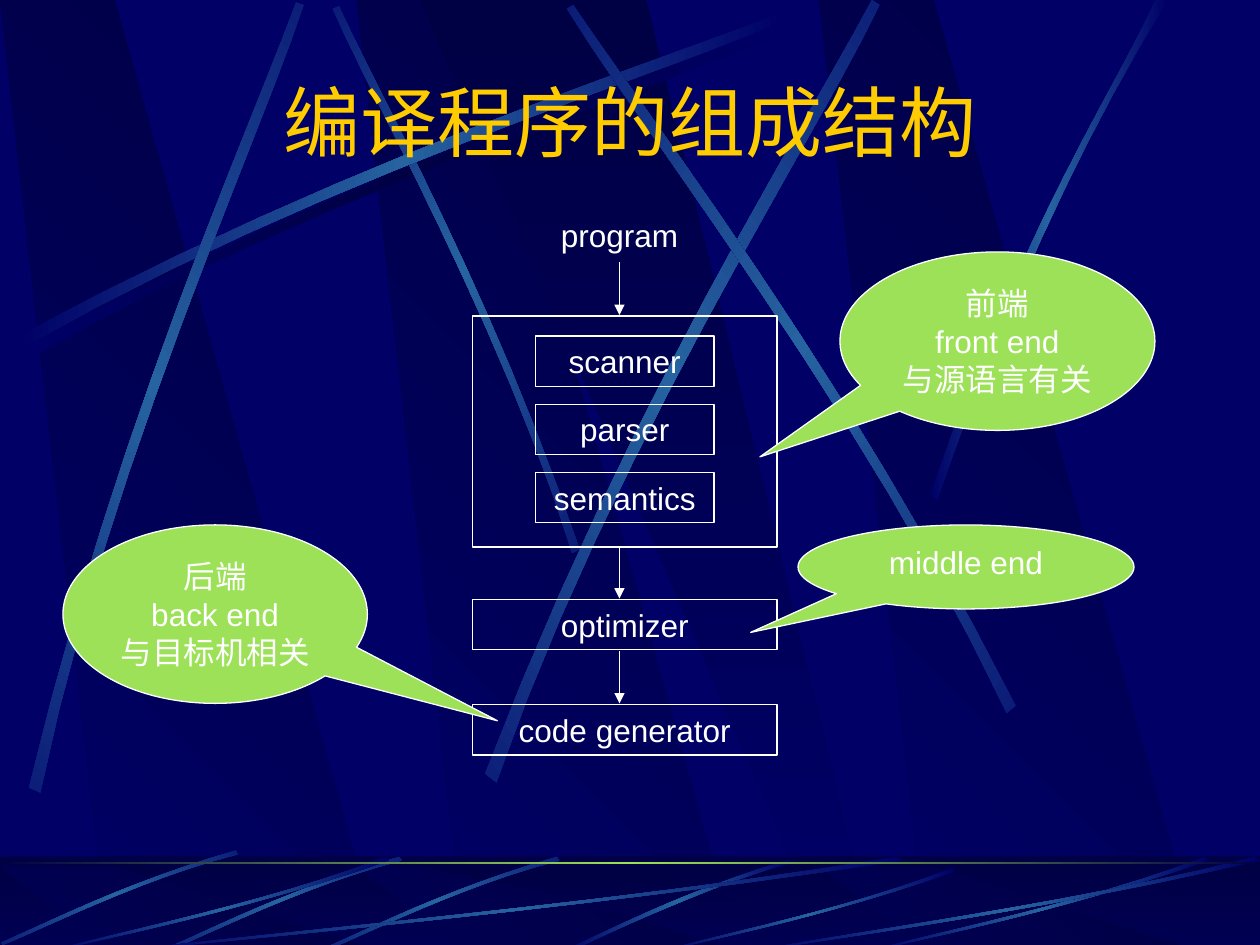
"""Build the compiler structure slide: a flow of stages with three callouts."""
import math

from lxml import etree
from pptx import Presentation
from pptx import util as u
from pptx.dml.color import RGBColor
from pptx.enum import shapes, text
from pptx.oxml import ns

NAVY = RGBColor(0x00, 0x00, 0x66)
DARK = RGBColor(0x00, 0x00, 0x44)
STEEL = RGBColor(0x26, 0x63, 0xA0)
GREEN = RGBColor(0x9C, 0xE1, 0x57)
GOLD = RGBColor(0xFF, 0xCC, 0x00)
WHITE = RGBColor(0xFF, 0xFF, 0xFF)
BEAM = (NAVY, STEEL, NAVY)
SHADE = (DARK, NAVY)

prs = Presentation()
prs.slide_width, prs.slide_height = u.Inches(10), u.Inches(7.5)
CELL = prs.slide_width // 120
FINE = prs.slide_width // 1000
slide = prs.slides.add_slide(prs.slide_layouts[6])
slide.background.fill.solid()
slide.background.fill.fore_color.rgb = NAVY


def paint(s, colors, angle):
    s.shadow.inherit = False
    s.line.fill.background()
    s.fill.gradient()
    s.fill.gradient_angle = (360 - angle) % 360
    stops = s._element.spPr.find(".//" + ns.qn("a:gsLst"))
    for stop in list(stops):
        stops.remove(stop)
    for i, color in enumerate(colors):
        pos = str(100000 * i // (len(colors) - 1))
        stop = etree.SubElement(stops, ns.qn("a:gs"), pos=pos)
        etree.SubElement(stop, ns.qn("a:srgbClr"), val=str(color))


def outline(points, colors, angle, turn=0):
    cos, sin = math.cos(math.radians(turn)), math.sin(math.radians(turn))
    flat = [(round((x * cos + y * sin) * FINE), round((y * cos - x * sin) * FINE)) for x, y in points]
    builder = slide.shapes.build_freeform(*flat[0])
    builder.add_line_segments(flat[1:], close=True)
    s = builder.convert_to_shape()
    cx, cy = s.left + s.width / 2, s.top + s.height / 2
    s.left = round(cx * cos - cy * sin - s.width / 2)
    s.top = round(cx * sin + cy * cos - s.height / 2)
    s.rotation = turn % 360
    paint(s, colors, angle)


wide = [(14, 267), (278, 125), (518, 51), (620, 10), (623, 16), (522, 61), (248, 143), (17, 277)]
upper = [
    (0, (NAVY, DARK, NAVY), [(x + 6, y + 8) for x, y in wide]),
    (45, BEAM, [(460, 436), (391, 234), (302, 77), (269, 5), (264, 7), (295, 79), (398, 258), (454, 439)]),
    (0, BEAM, wide),
    (311.7, BEAM, [(23, 625), (93, 334), (197, 105), (235, 2), (241, 4), (207, 108), (86, 368), (32, 629)]),
    (321.6, BEAM, [(385, 614), (498, 320), (638, 102), (692, 0), (698, 4), (649, 108), (486, 355), (394, 621)]),
    (34.8, BEAM, [(806, 560), (670, 293), (516, 95), (455, 4), (450, 7), (507, 101), (685, 325), (799, 566)]),
    (0, BEAM, [(738, 393), (814, 173), (888, 66), (917, 0), (927, 0), (836, 145), (769, 322), (744, 397)]),
]
short = [(442, 680), (355, 705), (287, 740), (256, 753), (257, 755), (288, 743), (365, 703), (444, 683)]
sweep = [(1, 0.04), (0.57, 0.57), (0.17, 0.85), (0, 1), (0, 0.99), (0.17, 0.81), (0.62, 0.51), (0.99, 0)]
floor = [(0, BEAM, [(627, 682), (537, 709), (477, 742), (448, 754), (453, 755), (490, 737), (571, 700), (628, 685)])]
floor += [(314.9, BEAM, [(x + dx, y + dy) for x, y in short]) for dx, dy in ((0, 0), (-125, 0), (-255, -5))]
floor += [(0, BEAM, [(left + width * x, top + (755 - top) * y) for x, y in sweep])
          for left, top, width in ((100, 680, 617), (42, 680, 267), (527, 689, 231), (692, 680, 267), (600, 680, 400))]

for top, bottom, beams in ((0, 752, upper), (688, 755, floor)):
    if beams is floor:
        s = slide.shapes.add_shape(shapes.MSO_SHAPE.RECTANGLE, 0, 680 * FINE, prs.slide_width, 75 * FINE)
        paint(s, SHADE, 90)
    for dx in (283, 0, 650):
        outline([(dx + 86, bottom), (dx + 302, bottom), (dx + 91, top), (dx, top)], SHADE, 135)
    outline([(333, top), (658, bottom), (694, bottom), (513, top)], SHADE, 90)
    if beams is floor:
        s = slide.shapes.add_shape(shapes.MSO_SHAPE.RECTANGLE, 0, 679 * FINE, prs.slide_width, 75 * FINE)
        s.shadow.inherit = False
        s.line.fill.background()
        s.fill.solid()
        s.fill.fore_color.rgb = DARK
        clr = s._element.spPr.find(".//" + ns.qn("a:srgbClr"))
        etree.SubElement(clr, ns.qn("a:alpha"), val="50000")
    for turn, colors, (a, b, c, d, e, f, g, h) in beams:
        points = []
        for curve in ((a, b, c, d), (e, f, g, h)):
            for t in (i / 12 for i in range(13)):
                weights = ((1 - t) ** 3, 3 * t * (1 - t) ** 2, 3 * t * t * (1 - t), t ** 3)
                points.append([sum(w * q[k] for w, q in zip(weights, curve)) for k in (0, 1)])
        outline(points, colors, 180, turn)

s = slide.shapes.add_shape(shapes.MSO_SHAPE.RECTANGLE, 0, 684 * FINE, prs.slide_width, 2 * FINE)
paint(s, (DARK, GREEN, DARK), 180)

BOX, CALLOUT = shapes.MSO_SHAPE.RECTANGLE, shapes.MSO_SHAPE.OVAL_CALLOUT
items = [
    (None, (4, 6.5, 112, 10), ["编译程序的组成结构"], ()),
    (None, (48, 20, 22, 4.8), ["program"], ()),
    (BOX, (45, 30.1, 29, 22), [], ()),
]
items += [(BOX, (51, 32 + 6.5 * i, 17, 4.8), [name], ()) for i, name in enumerate(("scanner", "parser", "semantics"))]
items += [(BOX, (45, 57.1 + 10 * i, 29, 4.8), [name], ()) for i, name in enumerate(("optimizer", "code generator"))]
items += [
    (CALLOUT, (80, 24, 30, 17), ["前端", "front end", "与源语言有关"], (-0.754, 0.648)),
    (CALLOUT, (76, 50, 32, 8), ["middle end"], (-0.641, 0.779)),
    (CALLOUT, (6, 50, 29, 17), ["后端", "back end", "与目标机相关"], (0.927, 0.597)),
]
title = {"size": u.Pt(44), "name": "Montserrat"}
body = {"size": u.Pt(18), "name": "Arial"}

for kind, cells, lines, tip in items:
    place = [round(n * CELL) for n in cells]
    if kind is None:
        s = slide.shapes.add_textbox(*place)
    else:
        s = slide.shapes.add_shape(kind, *place)
        s.shadow.inherit = False
        s.line.color.rgb = WHITE
        s.line.width = u.Pt(0.75)
        s.fill.background()
    if tip:
        s.fill.solid()
        s.fill.fore_color.rgb = GREEN
        s.adjustments[0], s.adjustments[1] = tip
    heading = cells[1] < 10
    tf = s.text_frame
    tf.word_wrap = True
    tf.vertical_anchor = text.MSO_ANCHOR.MIDDLE if heading else text.MSO_ANCHOR.TOP
    for i, line in enumerate(lines):
        p = tf.add_paragraph() if i else tf.paragraphs[0]
        p.alignment = text.PP_ALIGN.CENTER
        r = p.add_run()
        r.text = line
        r.font.color.rgb = GOLD if heading else WHITE
        for key, value in (title if heading else body).items():
            setattr(r.font, key, value)

for row in (25, 52, 62):
    s = slide.shapes.add_connector(shapes.MSO_CONNECTOR.STRAIGHT, 59 * CELL, row * CELL, 59 * CELL, (row + 5) * CELL)
    s.line.color.rgb = WHITE
    s.line.width = u.Pt(0.75)
    etree.SubElement(s.line._get_or_add_ln(), ns.qn("a:tailEnd"), type="triangle")
    etree.SubElement(s._element.spPr, ns.qn("a:effectLst"))

prs.save("out.pptx")
